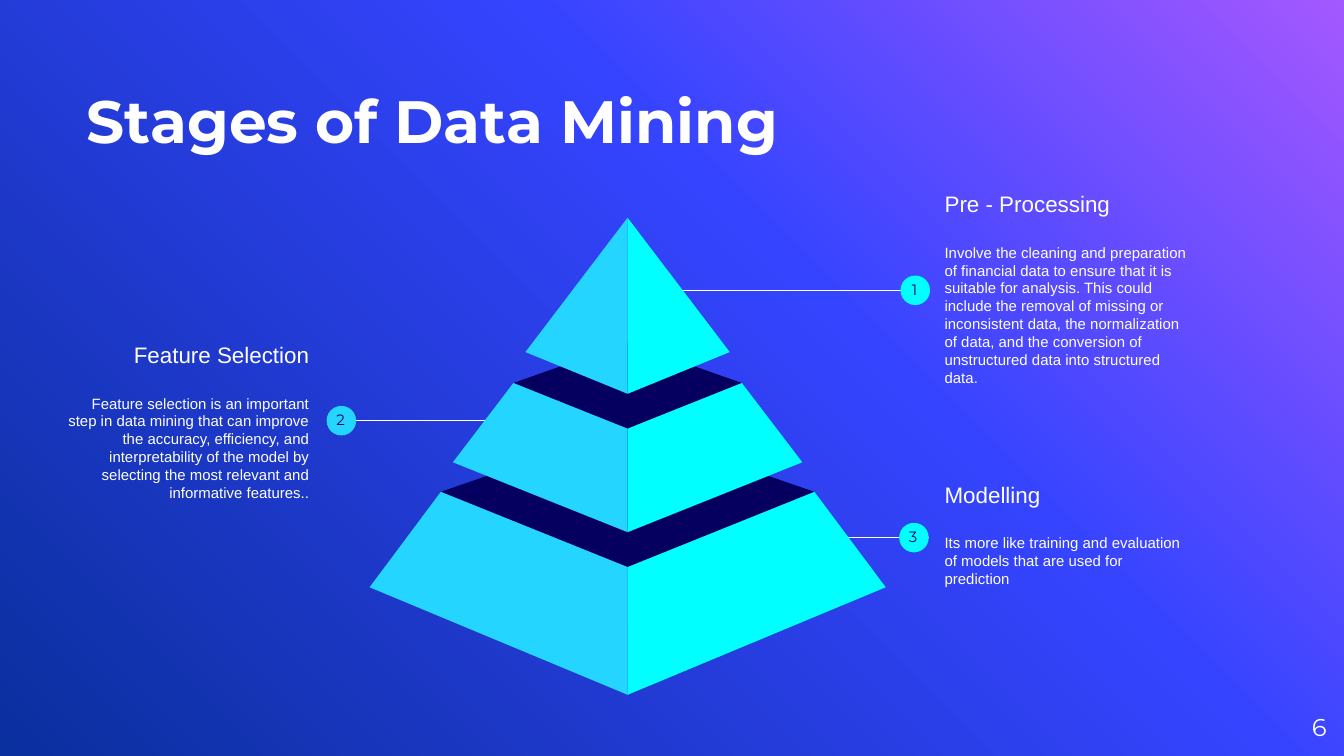
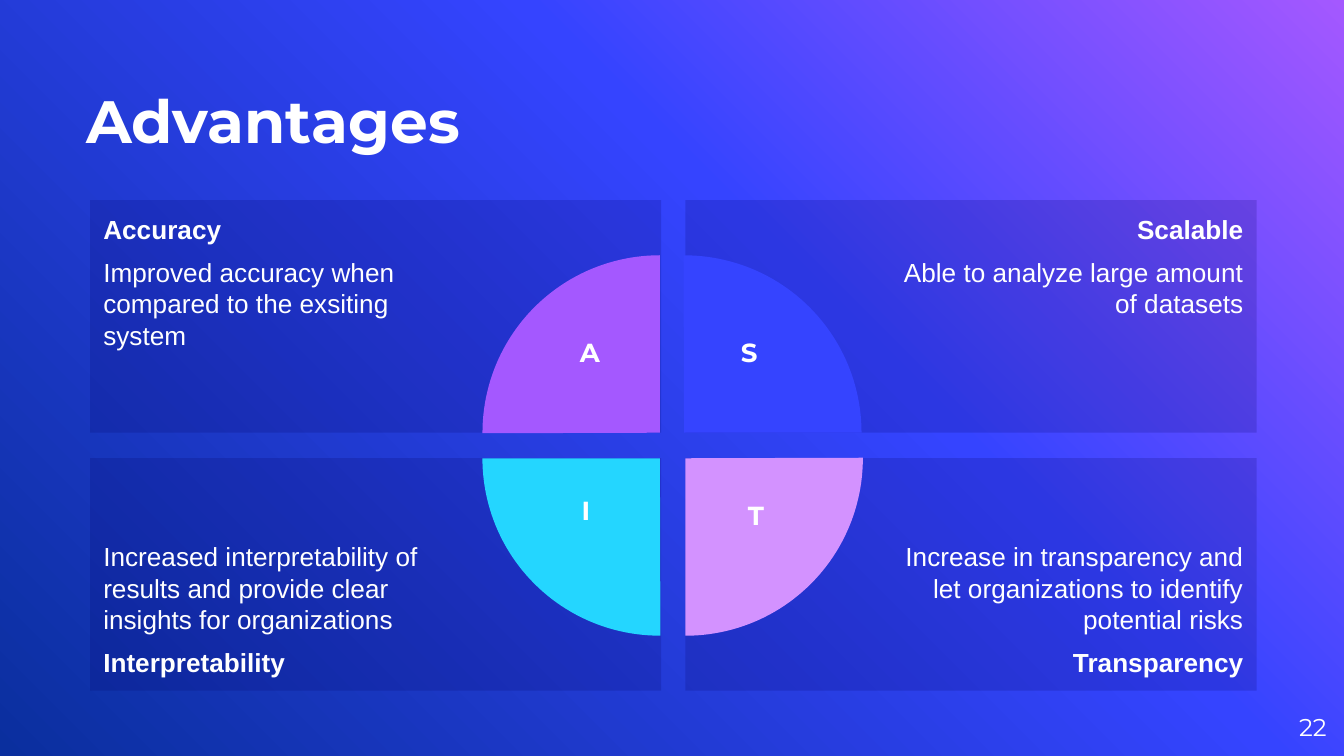
from dataclasses import dataclass

from lxml.etree import SubElement
from pptx import Presentation
from pptx.dml.color import RGBColor
from pptx.enum.shapes import MSO_CONNECTOR as Connector, MSO_SHAPE as Preset
from pptx.enum.text import MSO_ANCHOR as Anchor, PP_ALIGN as Align
from pptx.oxml import parse_xml
from pptx.oxml.ns import nsdecls, qn
from pptx.util import Inches, Pt

WHITE = RGBColor(0xFF, 0xFF, 0xFF)
NAVY = RGBColor(0x05, 0x00, 0x60)
DEEP_BLUE = RGBColor(0x0A, 0x2F, 0x9E)
BLUE = RGBColor(0x35, 0x44, 0xFF)
SKY = RGBColor(0x24, 0xD6, 0xFF)
AQUA = RGBColor(0x00, 0xFF, 0xFF)
PURPLE = RGBColor(0xA4, 0x58, 0xFF)
LILAC = RGBColor(0xD3, 0x92, 0xFF)

BODY_FONT = "Arial"
DISPLAY_FONT = "Montserrat"
GRADIENT = ((0, PURPLE), (39, BLUE), (100, DEEP_BLUE))

AXIS = 4.67
DOT = 0.22
CARD_WIDTH, CARD_HEIGHT = 4.25, 1.73
PIE_SIZE = 2.64


@dataclass
class Line:
    text: str
    size: float
    bold: bool = False
    before: float = 0
    after: float = 0


@dataclass
class Callout:
    number: str
    heading: str
    body: str
    left: float
    top: float
    dot_left: float
    line_y: float
    line_from: float
    line_to: float
    color: RGBColor
    align: Align = Align.LEFT


@dataclass
class Tier:
    top_half: float
    shoulder: float
    ridge: float
    base_half: float
    base: float
    foot: float
    back: float


@dataclass
class Quadrant:
    letter: str
    heading: str
    body: str
    column: int
    row: int
    color: RGBColor
    rotation: int
    pie_left: float
    pie_top: float
    letter_box: tuple[float, float, float, float]


CALLOUTS = (
    Callout("3", "Modelling",
            "Its more like training and evaluation of models that are used for prediction",
            6.93, 3.22, 6.69, 4, 6.27, 6.91, AQUA),
    Callout("2", "Feature Selection",
            "Feature selection is an important step in data mining that can improve the "
            "accuracy, efficiency, and interpretability of the model by selecting the most "
            "relevant and informative features..",
            0.38, 2.38, 2.43, 3.13, 3.64, 2.5, SKY, Align.RIGHT),
    Callout("1", "Pre - Processing",
            "Involve the cleaning and preparation of financial data to ensure that it is "
            "suitable for analysis. This could include the removal of missing or inconsistent "
            "data, the normalization of data, and the conversion of unstructured data into "
            "structured data.",
            6.93, 1.39, 6.7, 2.16, 5.03, 6.91, AQUA),
)

TIERS = (
    Tier(1.39, 3.66, 4.22, 1.92, 4.37, 5.17, 3.18),
    Tier(0.85, 2.85, 3.19, 1.3, 3.44, 3.96, 2.55),
    Tier(0, 1.62, 1.62, 0.76, 2.62, 2.93, 1.62),
)

QUADRANTS = (
    Quadrant("A", "Accuracy", "Improved accuracy when compared to the exsiting system",
             0, 0, PURPLE, 0, 3.59, 1.9, (4.2, 2.45, 0.38, 0.51)),
    Quadrant("S", "Scalable", "Able to analyze large amount of datasets",
             1, 0, BLUE, 90, 3.77, 1.9, (5.34, 2.45, 0.47, 0.59)),
    Quadrant("T", "Transparency",
             "Increase in transparency and let organizations to identify potential risks",
             1, 1, LILAC, 180, 3.78, 2.09, (5.44, 3.67, 0.37, 0.5)),
    Quadrant("I", "Interpretability",
             "Increased interpretability of results and provide clear insights for organizations",
             0, 1, SKY, 270, 3.59, 2.09, (4.2, 3.63, 0.32, 0.54)),
)


def write_text(shape, lines: list[Line], *, font: str = BODY_FONT, color: RGBColor = WHITE,
               align: Align = Align.LEFT, anchor: Anchor = Anchor.TOP,
               insets: tuple[float, ...] = (0.1, 0.1, 0.1, 0.1)) -> None:
    frame = shape.text_frame
    frame.word_wrap = True
    frame.vertical_anchor = anchor
    (frame.margin_left, frame.margin_top,
     frame.margin_right, frame.margin_bottom) = map(Inches, insets)
    for index, line in enumerate(lines):
        paragraph = frame.add_paragraph() if index else frame.paragraphs[0]
        paragraph.alignment = align
        paragraph.space_before = Pt(line.before)
        paragraph.space_after = Pt(line.after)
        run = paragraph.add_run()
        run.text = line.text
        run.font.name = font
        run.font.size = Pt(line.size)
        run.font.bold = line.bold
        run.font.color.rgb = color


def add_text(slide, box: tuple[float, float, float, float], lines: list[Line], **text_format) -> None:
    write_text(slide.shapes.add_textbox(*map(Inches, box)), lines, **text_format)


def paint(shape, color: RGBColor, opacity: int = 100) -> None:
    shape.shadow.inherit = False
    shape.line.fill.background()
    shape.fill.solid()
    shape.fill.fore_color.rgb = color
    if opacity < 100:
        color_element = shape.fill._xPr.find(qn("a:solidFill"))[0]
        SubElement(color_element, qn("a:alpha"), val=str(opacity * 1000))


def add_preset(slide, preset: Preset, box: tuple[float, float, float, float],
               color: RGBColor, opacity: int = 100):
    shape = slide.shapes.add_shape(preset, *map(Inches, box))
    paint(shape, color, opacity)
    return shape


def add_polygon(slide, points: list[tuple[float, float]], color: RGBColor) -> None:
    corners = [(Inches(x), Inches(y)) for x, y in points]
    builder = slide.shapes.build_freeform(*corners[0])
    builder.add_line_segments(corners[1:], close=True)
    paint(builder.convert_to_shape(), color)


def add_slide(presentation, title: str, number: str):
    slide = presentation.slides.add_slide(presentation.slide_layouts[6])
    stops = "".join(f'<a:gs pos="{position * 1000}"><a:srgbClr val="{color}"/></a:gs>'
                    for position, color in GRADIENT)
    slide.element.cSld.insert(0, parse_xml(
        f'<p:bg {nsdecls("p", "a")}><p:bgPr><a:gradFill><a:gsLst>{stops}</a:gsLst>'
        f'<a:lin ang="{135 * 60000}" scaled="0"/></a:gradFill><a:effectLst/></p:bgPr></p:bg>'))
    add_text(slide, (0.64, 0.22, 6.58, 0.94), [Line(title, 32, bold=True)],
             font=DISPLAY_FONT, anchor=Anchor.BOTTOM, insets=(0, 0, 0, 0))
    add_text(slide, (9.27, 5.19, 0.6, 0.43), [Line(number, 13)], font=DISPLAY_FONT,
             align=Align.RIGHT, anchor=Anchor.MIDDLE, insets=(0, 0, 0, 0))
    return slide


def add_callout(slide, callout: Callout) -> None:
    y = Inches(callout.line_y)
    connector = slide.shapes.add_connector(
        Connector.STRAIGHT, Inches(callout.line_from), y, Inches(callout.line_to), y)
    connector.line.color.rgb = WHITE
    connector.line.width = Pt(0.75)
    SubElement(connector._element.spPr, qn("a:effectLst"))
    add_text(slide, (callout.left, callout.top, 2.02, 1.51),
             [Line(callout.heading, 12, after=14), Line(callout.body, 8)],
             align=callout.align, anchor=Anchor.MIDDLE)
    add_preset(slide, Preset.OVAL,
               (callout.dot_left, callout.line_y - DOT / 2, DOT, DOT), callout.color)
    add_text(slide, (callout.dot_left - 0.03, callout.line_y - 0.14, 0.27, 0.34),
             [Line(callout.number, 8)], font=DISPLAY_FONT, color=NAVY, align=Align.CENTER)


def add_tier(slide, tier: Tier) -> None:
    if tier.top_half:
        add_polygon(slide, [(AXIS - tier.top_half, tier.shoulder), (AXIS, tier.ridge),
                            (AXIS + tier.top_half, tier.shoulder), (AXIS, tier.back)], NAVY)
    for side, color in ((-1, SKY), (1, AQUA)):
        add_polygon(slide, [(AXIS + side * tier.top_half, tier.shoulder),
                            (AXIS + side * tier.base_half, tier.base),
                            (AXIS, tier.foot), (AXIS, tier.ridge)], color)


def add_card(slide, quadrant: Quadrant) -> None:
    box = (0.67 + quadrant.column * 4.43, 1.49 + quadrant.row * 1.92, CARD_WIDTH, CARD_HEIGHT)
    card = add_preset(slide, Preset.RECTANGLE, box, NAVY, opacity=18)
    lines = [Line(quadrant.heading, 14, bold=True), Line(quadrant.body, 14)]
    if quadrant.row:
        lines.reverse()
    lines[1].before = 6
    write_text(card, lines,
               align=Align.RIGHT if quadrant.column else Align.LEFT,
               anchor=Anchor.BOTTOM if quadrant.row else Anchor.TOP,
               insets=(1.5, 0.1, 0.1, 0.1) if quadrant.column else (0.1, 0.1, 1.5, 0.1))


def add_pie(slide, quadrant: Quadrant) -> None:
    pie = add_preset(slide, Preset.PIE,
                     (quadrant.pie_left, quadrant.pie_top, PIE_SIZE, PIE_SIZE), quadrant.color)
    pie.adjustments[0] = 107.89
    pie.adjustments[1] = 162
    pie.rotation = quadrant.rotation


def build_stages(presentation) -> None:
    slide = add_slide(presentation, "Stages of Data Mining", "6")
    for callout in CALLOUTS:
        add_callout(slide, callout)
    for tier in TIERS:
        add_tier(slide, tier)


def build_advantages(presentation) -> None:
    slide = add_slide(presentation, "Advantages", "22")
    for quadrant in QUADRANTS:
        add_card(slide, quadrant)
    for quadrant in QUADRANTS:
        add_pie(slide, quadrant)
    for quadrant in QUADRANTS:
        add_text(slide, quadrant.letter_box, [Line(quadrant.letter, 14, bold=True)],
                 font=DISPLAY_FONT, align=Align.CENTER, insets=(0.1, 0.05, 0.1, 0.05))


def main() -> None:
    presentation = Presentation()
    presentation.slide_width = Inches(10)
    presentation.slide_height = presentation.slide_width * 9 // 16
    build_stages(presentation)
    build_advantages(presentation)
    presentation.save("out.pptx")


if __name__ == "__main__":
    main()
